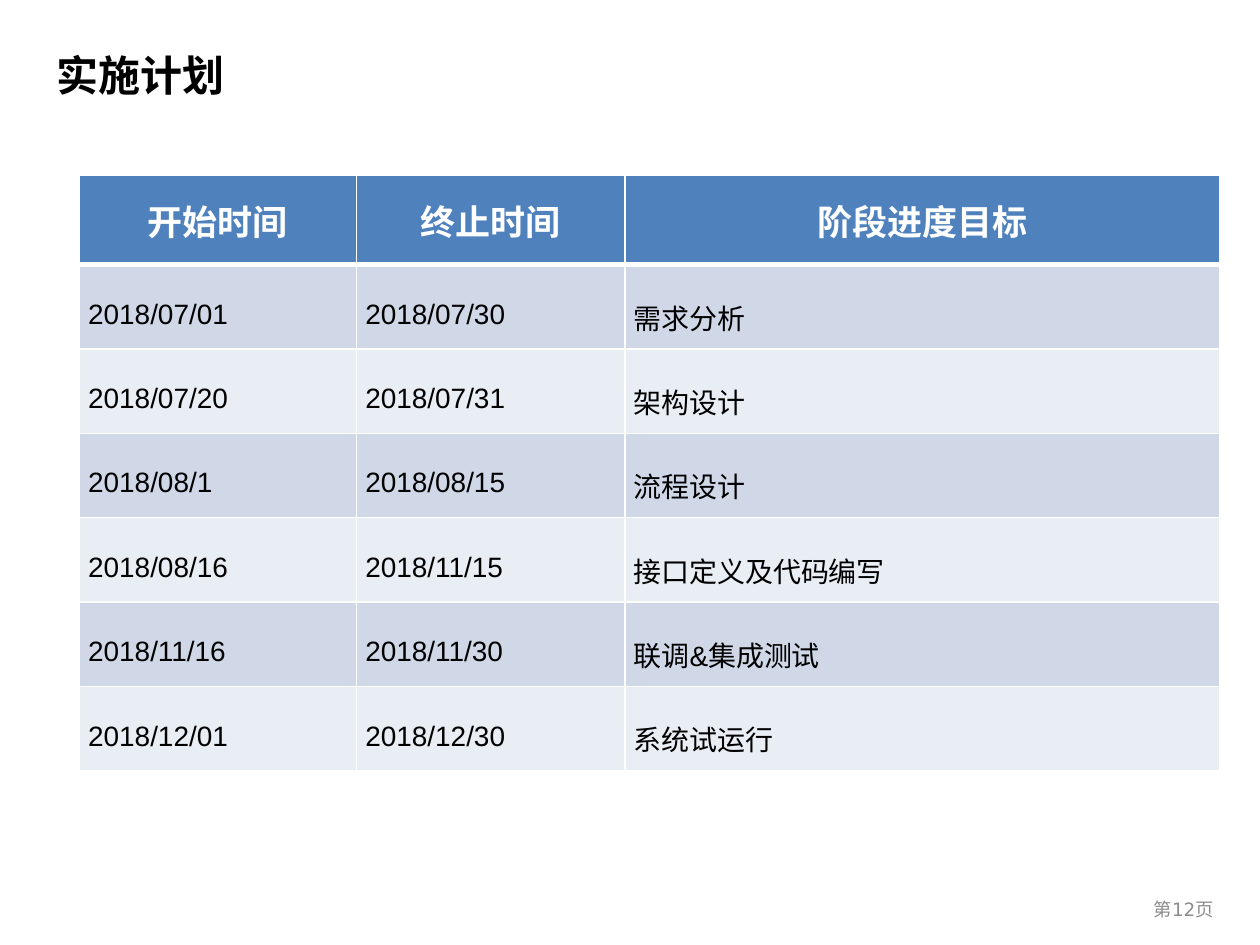
from lxml.etree import SubElement
from pptx import Presentation
from pptx.dml.color import RGBColor
from pptx.enum.text import MSO_ANCHOR as Anchor, PP_ALIGN as Align
from pptx.oxml.ns import qn
from pptx.util import Inches, Pt

TITLE = "实施计划"
PAGE_LABEL = "第12页"
HEADINGS = ("开始时间", "终止时间", "阶段进度目标")
STAGES = [
    ("2018/07/01", "2018/07/30", "需求分析"),
    ("2018/07/20", "2018/07/31", "架构设计"),
    ("2018/08/1", "2018/08/15", "流程设计"),
    ("2018/08/16", "2018/11/15", "接口定义及代码编写"),
    ("2018/11/16", "2018/11/30", "联调&集成测试"),
    ("2018/12/01", "2018/12/30", "系统试运行"),
]
COLUMN_WIDTHS = (2.2, 2.13, 4.72)
HEADING_HEIGHT, STAGE_HEIGHT = 0.71, 0.67
TABLE_LEFT, TABLE_TOP = 0.63, 1.39

BLACK = RGBColor(0x00, 0x00, 0x00)
WHITE = RGBColor(0xFF, 0xFF, 0xFF)
GRAY = RGBColor(0x8C, 0x8C, 0x8C)
BLUE = RGBColor(0x4F, 0x81, 0xBD)
BANDS = (RGBColor(0xD0, 0xD8, 0xE8), RGBColor(0xE9, 0xED, 0xF4))


def write(frame, text, font, size, color, bold=False, align=Align.LEFT):
    """Put one formatted run in the frame and return its paragraph."""
    line = frame.paragraphs[0]
    line.alignment = align
    run = line.add_run()
    run.text = text
    run.font.name, run.font.size, run.font.bold = font, Pt(size), bold
    run.font.color.rgb = color
    return line


def add_label(slide, box, anchor, text, **style):
    """Add a wrapped text box in DejaVu Sans."""
    frame = slide.shapes.add_textbox(*map(Inches, box)).text_frame
    frame.word_wrap = True
    frame.vertical_anchor = anchor
    write(frame, text, "DejaVu Sans", **style)


def set_borders(cell, top, bottom):
    """Draw white cell borders; the sides are one point wide."""
    properties = cell._tc.get_or_add_tcPr()
    for side, width in (("L", 1), ("R", 1), ("T", top), ("B", bottom)):
        border = SubElement(properties, qn(f"a:ln{side}"), w=str(Pt(width)))
        SubElement(SubElement(border, qn("a:solidFill")), qn("a:srgbClr"), val=str(WHITE))


def add_schedule(slide):
    """Add the table of stages under its heading row."""
    heights = [HEADING_HEIGHT] + [STAGE_HEIGHT] * len(STAGES)
    box = (TABLE_LEFT, TABLE_TOP, sum(COLUMN_WIDTHS), sum(heights))
    table = slide.shapes.add_table(
        len(heights), len(COLUMN_WIDTHS), *map(Inches, box)).table
    for column, width in zip(table.columns, COLUMN_WIDTHS):
        column.width = Inches(width)
    for r, (height, texts) in enumerate(zip(heights, [HEADINGS] + STAGES)):
        table.rows[r].height = Inches(height)
        for c, text in enumerate(texts):
            cell = table.cell(r, c)
            set_borders(cell, top=3 if r == 1 else 1, bottom=3 if r == 0 else 1)
            cell.fill.solid()
            cell.fill.fore_color.rgb = BANDS[(r - 1) % 2] if r else BLUE
            cell.vertical_anchor = Anchor.MIDDLE
            cell.margin_left = cell.margin_right = Inches(0.07)
            cell.margin_top = cell.margin_bottom = 0
            if r == 0:
                write(cell.text_frame, text, "Arial", 20, WHITE, True, Align.CENTER)
            else:
                write(cell.text_frame, text, "Arial", 16, BLACK).line_spacing = 1.5


deck = Presentation()
deck.slide_width, deck.slide_height = Inches(10), Inches(7.5)
plan = deck.slides.add_slide(deck.slide_layouts[6])
add_label(plan, (8.86, 7.06, 0.87, 0.31), Anchor.MIDDLE, PAGE_LABEL,
          size=10.5, color=GRAY, align=Align.RIGHT)
add_label(plan, (0.35, 0.21, 7.72, 0.63), Anchor.BOTTOM, TITLE,
          size=24, color=BLACK, bold=True)
add_schedule(plan)
deck.save("out.pptx")
